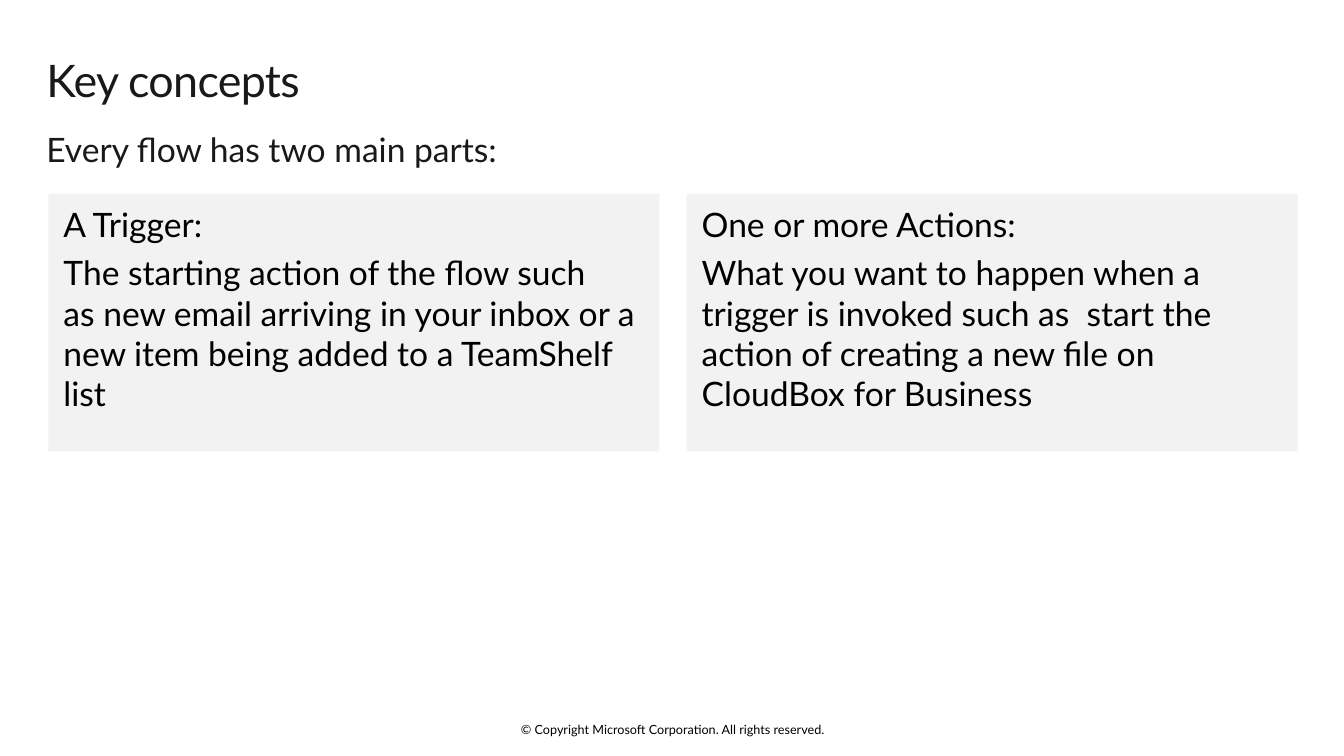
"""Build the slide that presents the two main parts of a flow."""
from dataclasses import dataclass

from pptx import Presentation
from pptx.dml.color import RGBColor
from pptx.enum.shapes import MSO_SHAPE
from pptx.enum.text import MSO_ANCHOR, PP_ALIGN
from pptx.shapes.autoshape import Shape
from pptx.slide import Slide
from pptx.util import Inches, Pt

SLIDE_WIDTH, SLIDE_HEIGHT = 13.33, 7.5
FONT = "Lato"
INK, BLACK, PANEL = "191919", "000000", "F2F2F2"
PANEL_LEFT, PANEL_TOP = 0.48, 1.92
PANEL_WIDTH, PANEL_HEIGHT = 6.06, 2.56
PANEL_PITCH = 6.33


@dataclass(frozen=True)
class Label:
    text: str
    left: float
    top: float
    width: float
    height: float
    size: int
    color: str
    insets: tuple[float, float, float, float] = (0, 0, 0, 0)
    anchor: MSO_ANCHOR = MSO_ANCHOR.TOP
    alignment: PP_ALIGN = PP_ALIGN.LEFT
    line_spacing: float = 1.0
    tracking: int = 0


@dataclass(frozen=True)
class FlowPart:
    heading: str
    description: str


LABELS = [
    Label("© Copyright Microsoft Corporation. All rights reserved.",
          4.42, 7.16, 4.5, 0.15, 9, BLACK,
          anchor=MSO_ANCHOR.MIDDLE, alignment=PP_ALIGN.CENTER),
    Label("Key concepts", 0.46, 0.48, 12.4, 0.74, 32, INK,
          insets=(0, 0.1, 0.16, 0.1), line_spacing=0.9, tracking=-50),
    Label("Every flow has two main parts:", 0.46, 1.28, 12.42, 0.4, 24, INK),
]

FLOW_PARTS = [
    FlowPart("A Trigger:",
             "The starting action of the flow such\vas new email arriving in your "
             "inbox or a new item being added to a TeamShelf list"),
    FlowPart("One or more Actions:",
             "What you want to happen when a trigger is invoked such as  start the "
             "action of creating a new file on CloudBox for Business"),
]


def rgb(color: str) -> RGBColor:
    """Turn a hex string into a colour."""
    return RGBColor.from_string(color)


def write_text(shape: Shape, text: str, size: int, color: str,
               insets: tuple[float, float, float, float],
               anchor: MSO_ANCHOR, alignment: PP_ALIGN) -> None:
    """Fill a shape with text and format all of its runs."""
    frame = shape.text_frame
    frame.word_wrap = True
    frame.vertical_anchor = anchor
    (frame.margin_left, frame.margin_top,
     frame.margin_right, frame.margin_bottom) = map(Inches, insets)
    frame.text = text
    for paragraph in frame.paragraphs:
        paragraph.alignment = alignment
        for run in paragraph.runs:
            run.font.name = FONT
            run.font.size = Pt(size)
            run.font.color.rgb = rgb(color)


def add_label(slide: Slide, label: Label) -> None:
    """Add a single line of text."""
    box = slide.shapes.add_textbox(Inches(label.left), Inches(label.top),
                                   Inches(label.width), Inches(label.height))
    write_text(box, label.text, label.size, label.color, label.insets,
               label.anchor, label.alignment)
    paragraph = box.text_frame.paragraphs[0]
    paragraph.line_spacing = label.line_spacing
    if label.tracking:
        paragraph.runs[0].font._element.set("spc", str(label.tracking))


def add_panel(slide: Slide, part: FlowPart, column: int) -> None:
    """Add the grey panel of one flow part in its column."""
    panel = slide.shapes.add_shape(
        MSO_SHAPE.RECTANGLE,
        Inches(PANEL_LEFT + column * PANEL_PITCH), Inches(PANEL_TOP),
        Inches(PANEL_WIDTH), Inches(PANEL_HEIGHT))
    panel.shadow.inherit = False
    panel.fill.solid()
    panel.fill.fore_color.rgb = rgb(PANEL)
    panel.line.fill.background()
    write_text(panel, f"{part.heading}\n{part.description}", 24, BLACK,
               (0.15, 0.1, 0.16, 0.1), MSO_ANCHOR.TOP, PP_ALIGN.LEFT)
    panel.text_frame.paragraphs[0].space_after = Pt(6)


def main() -> None:
    """Create the presentation and save it."""
    presentation = Presentation()
    presentation.slide_width = Inches(SLIDE_WIDTH)
    presentation.slide_height = Inches(SLIDE_HEIGHT)
    slide = presentation.slides.add_slide(presentation.slide_layouts[6])
    for label in LABELS:
        add_label(slide, label)
    for column, part in enumerate(FLOW_PARTS):
        add_panel(slide, part, column)
    presentation.save("out.pptx")


if __name__ == "__main__":
    main()
